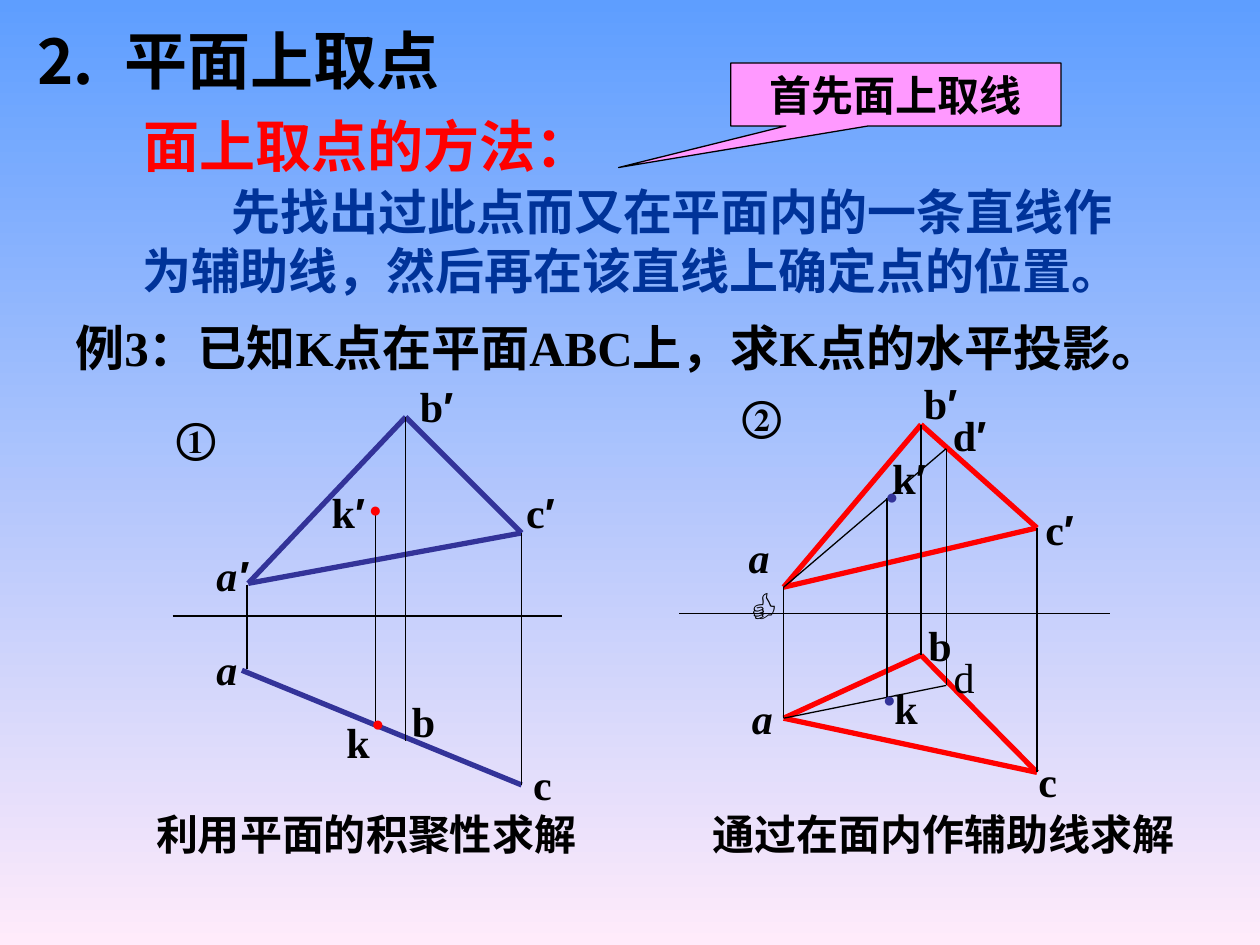
from lxml import etree
from pptx import Presentation
from pptx.dml.color import RGBColor
from pptx.enum.shapes import MSO_CONNECTOR, MSO_SHAPE
from pptx.enum.text import MSO_ANCHOR, MSO_AUTO_SIZE, PP_ALIGN
from pptx.oxml.ns import qn
from pptx.util import Pt

PX = 9144
LEFT, CENTER = PP_ALIGN.LEFT, PP_ALIGN.CENTER
MIDDLE, GROW = MSO_ANCHOR.MIDDLE, MSO_AUTO_SIZE.SHAPE_TO_FIT_TEXT
STRAIGHT, CALLOUT = MSO_CONNECTOR.STRAIGHT, MSO_SHAPE.RECTANGULAR_CALLOUT
SERIF, SANS, ICON = "Times New Roman", "Arial", "Lato"
BLACK, RED, INDIGO, NAVY, PINK = "000000", "FF0000", "333399", "003399", "FF99FF"
THIN, THICK = 0.75, 3


def rgb(value):
    return RGBColor.from_string(value)


def emu(*lengths):
    return [n * PX for n in lengths]


def style(r, size, color=BLACK, bold=True, italic=False, font=SERIF):
    r.font.size, r.font.name = Pt(size), font
    r.font.bold, r.font.italic = bold, italic
    r.font.color.rgb = rgb(color)


def add_text(s, box, text, size, color=BLACK, align=LEFT, wrap=True, bold=True):
    sp = s.shapes.add_textbox(*emu(*box))
    tf = sp.text_frame
    tf.word_wrap, tf.auto_size, tf.vertical_anchor = wrap, GROW, MIDDLE
    tf.text = text
    p = tf.paragraphs[0]
    p.alignment = align
    style(p.runs[0], size, color, bold)
    return p


def add_label(s, x, y, w, text, bold=True):
    italic = text[0] == "a"
    mark = text[1:]
    p = add_text(s, (x, y, w, 50), text[0], 24, align=CENTER, wrap=mark == "👍", bold=bold)
    p.runs[0].font.italic = italic
    if mark:
        r = p.add_run()
        r.text = mark
        style(r, 24, italic=italic, font=SANS if mark == "′" else ICON)


def add_line(s, origin, start, end, color=BLACK, width=THIN):
    (x, y), (x1, y1), (x2, y2) = origin, start, end
    line = s.shapes.add_connector(STRAIGHT, *emu(x + x1, y + y1, x + x2, y + y2))
    line.line.color.rgb = rgb(color)
    line.line.width = Pt(width)
    etree.SubElement(line._element.spPr, qn("a:effectLst"))


def add_figure(s, origin, color, edges, rays, labels, dots, dot_color, caption):
    x, y = origin
    for start, end in edges:
        add_line(s, origin, start, end, color, THICK)
    for start, end in rays:
        add_line(s, origin, start, end)
    for dx, dy in dots:
        add_text(s, (x + dx, y + dy, 30, 30), "●", 12, dot_color, CENTER, False)
    for dx, dy, w, text in labels:
        add_label(s, x + dx, y + dy, w, text, bold=text != "d")
    dx, w, text = caption
    add_text(s, (x + dx, y + 347, w, 50), text, 24)


def accumulation_figure(s, origin):
    a1, b1, c1 = (87, 173), (212, 41), (304, 133)
    a, c = (82, 242), (304, 333)
    edges = [(a1, c1), (a1, b1), (b1, c1), (a, c)]
    rays = [((27, 199), (336, 199)), ((86, 174), (86, 241)), (b1, (212, 298)),
            (c1, c), ((188, 117), (188, 286))]
    labels = [(20, 32, 51, "①"), (212, 7, 49, "b′"), (142, 91, 49, "k′"),
              (296, 91, 46, "c′"), (50, 141, 48, "a′"), (52, 216, 36, "a"),
              (207, 257, 38, "b"), (155, 274, 38, "k"), (303, 307, 35, "c")]
    add_figure(s, origin, INDIGO, edges, rays, labels, [(173, 99), (175, 269)], RED,
               (4, 380, "利用平面的积聚性求解"))


def auxiliary_line_figure(s, origin):
    a1, b1, c1, d1 = (92, 176), (201, 47), (293, 129), (221, 66)
    a, b, c, d = (92, 280), (201, 230), (293, 323), (221, 254)
    edges = [(a1, c1), (a1, b1), (b1, c1), (a, b), (b, c), (c, a)]
    rays = [((9, 197), (351, 197)), (a1, a), (b1, b), (c1, c), (d1, d),
            (a1, d1), (a, d), ((174, 105), (174, 264))]
    labels = [(49, 14, 51, "②"), (192, 5, 49, "b′"), (215, 30, 49, "d′"),
              (167, 64, 49, "k′"), (288, 105, 46, "c′"), (48, 147, 49, "a👍"),
              (57, 255, 36, "a"), (197, 197, 38, "b"), (217, 222, 36, "d"),
              (170, 247, 38, "k"), (284, 305, 35, "c")]
    add_figure(s, origin, RED, edges, rays, labels, [(163, 89), (161, 250)], INDIGO,
               (26, 416, "通过在面内作辅助线求解"))


def heading(s, origin):
    x, y = origin
    p = add_text(s, (x, y, 392, 70), "⒉\t平面上取点", 36)
    tabs = etree.SubElement(p._p.get_or_add_pPr(), qn("a:tabLst"))
    etree.SubElement(tabs, qn("a:tab"), pos=str(72 * PX), algn="l")
    add_text(s, (x + 87, y + 71, 396, 64), "面上取点的方法：", 32, RED)
    p = add_text(s, (x + 86, y + 127, 822, 104),
                 "先找出过此点而又在平面内的一条直线作为辅助线，然后再在该直线上确定点的位置。", 28, NAVY)
    p._p.get_or_add_pPr().set("indent", str(71 * PX))
    add_text(s, (x + 33, y + 235, 955, 57),
             "例3：已知K点在平面ABC上，求K点的水平投影。", 28, wrap=False)


def callout(s, box):
    sp = s.shapes.add_shape(CALLOUT, *emu(*box))
    sp.shadow.inherit = False
    sp.adjustments[0], sp.adjustments[1] = -0.84, 1.16
    sp.fill.solid()
    sp.fill.fore_color.rgb = rgb(PINK)
    sp.line.color.rgb = rgb(BLACK)
    sp.line.width = Pt(THIN)
    tf = sp.text_frame
    tf.text = "首先面上取线"
    tf.vertical_anchor = MIDDLE
    p = tf.paragraphs[0]
    p.alignment = CENTER
    style(p.runs[0], 24)


def background(s):
    fill = s.background.fill
    fill.gradient()
    fill.gradient_angle = 270
    for stop, position, color in zip(fill.gradient_stops, (0, 1), ("5E9EFF", "FFEBFA")):
        stop.position = position
        stop.color.rgb = rgb(color)


def main():
    prs = Presentation()
    prs.slide_width, prs.slide_height = emu(1000, 750)
    s = prs.slides.add_slide(prs.slide_layouts[6])
    background(s)
    heading(s, (17, 12))
    callout(s, (580, 50, 262, 50))
    accumulation_figure(s, (110, 290))
    auxiliary_line_figure(s, (530, 290))
    prs.save("out.pptx")


if __name__ == "__main__":
    main()
